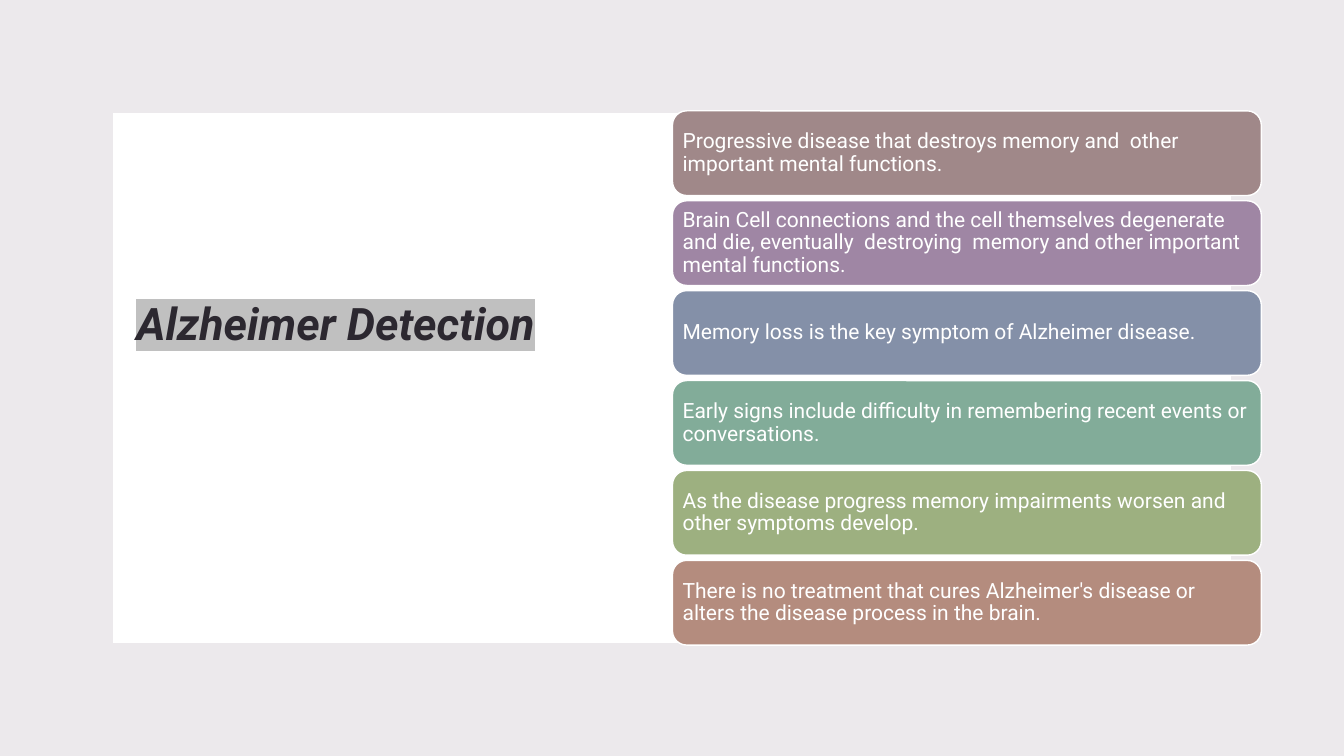
from dataclasses import dataclass

from lxml import etree
from pptx import Presentation
from pptx.dml.color import RGBColor
from pptx.enum import shapes, text
from pptx.oxml import ns
from pptx.util import Inches, Pt


@dataclass(frozen=True)
class Theme:
    """Colours, font and type sizes of the slide."""
    font: str = "Roboto"
    title_size: int = 32
    card_size: int = 15
    frame: str = "E0DCE1"
    frame_alpha: int = 61
    ink: str = "2C2830"
    highlight: str = "C0C0C0"
    white: str = "FFFFFF"


THEME = Theme()
WIDTH, HEIGHT = 13.33, 7.5
PANEL = (1.12, 1.12, 11.09, 5.26)
TITLE = (1.12, 1.12, 4.42, 5.25)
CARDS = (6.67, 1.1, 5.84, 5.3)
CARD_HEIGHT = 0.84
FACTS = [
    ("A08889", "Progressive disease that destroys memory and  other important mental functions."),
    ("9F86A4", "Brain Cell connections and the cell themselves degenerate and die, "
               "eventually  destroying  memory and other important mental functions."),
    ("8490A8", "Memory loss is the key symptom of Alzheimer disease."),
    ("82AC99", "Early signs include difficulty in remembering recent events or conversations."),
    ("9DB080", "As the disease progress memory impairments worsen and other symptoms develop."),
    ("B48C7E", "There is no treatment that cures Alzheimer's disease or "
               "alters the disease process in the brain."),
]


def add_color(parent, tag, color):
    """Append a colour element of the given tag and return its srgbClr."""
    holder = etree.SubElement(parent, ns.qn(tag))
    return etree.SubElement(holder, ns.qn("a:srgbClr"), val=color)


def style(p, size, color, spacing):
    """Set the font and line spacing of a paragraph."""
    p.line_spacing = spacing
    p.font.name = THEME.font
    p.font.size = Pt(size)
    p.font.color.rgb = RGBColor.from_string(color)


def add_frame(s, box):
    """Draw a translucent frame around the given opening."""
    x, y, w, h = box
    opening = [(x, y), (x, y + h), (x + w, y + h), (x + w, y)]
    edge = [(0, 0), (WIDTH, 0), (WIDTH, HEIGHT), (0, HEIGHT)]
    opening, edge = ([(Inches(a), Inches(b)) for a, b in ring] for ring in (opening, edge))
    builder = s.shapes.build_freeform(*opening[0])
    builder.add_line_segments(opening[1:])
    builder.move_to(*edge[0])
    builder.add_line_segments(edge[1:])
    sp = builder.convert_to_shape()
    sp.shadow.inherit = False
    sp.line.fill.background()
    sp.fill.solid()
    sp.fill.fore_color.rgb = RGBColor.from_string(THEME.frame)
    clr = sp.fill._xPr.find(".//" + ns.qn("a:srgbClr"))
    etree.SubElement(clr, ns.qn("a:alpha"), val=str(THEME.frame_alpha * 1000))


def add_title(s, box, words):
    """Place the highlighted title a little above the middle of the box."""
    sp = s.shapes.add_textbox(*map(Inches, box))
    tf = sp.text_frame
    tf.word_wrap = True
    tf.vertical_anchor = text.MSO_ANCHOR.MIDDLE
    tf.margin_bottom = Inches(1.2)
    p = tf.paragraphs[0]
    p.alignment = text.PP_ALIGN.CENTER
    style(p, THEME.title_size, THEME.ink, 1.1)
    p.font.bold = p.font.italic = True
    r = p.add_run()
    r.text = words
    add_color(r._r.get_or_add_rPr(), "a:highlight", THEME.highlight)


def add_card(s, box, color, words):
    """Draw one rounded card with its sentence."""
    sp = s.shapes.add_shape(shapes.MSO_SHAPE.ROUNDED_RECTANGLE, *map(Inches, box))
    sp.shadow.inherit = False
    sp.fill.solid()
    sp.fill.fore_color.rgb = RGBColor.from_string(color)
    sp.line.color.rgb = RGBColor.from_string(THEME.white)
    sp.line.width = Pt(1)
    tf = sp.text_frame
    tf.word_wrap = True
    tf.vertical_anchor = text.MSO_ANCHOR.MIDDLE
    tf.margin_left = tf.margin_right = tf.margin_top = tf.margin_bottom = Inches(0.06)
    p = tf.paragraphs[0]
    p.text = words
    p.alignment = text.PP_ALIGN.LEFT
    style(p, THEME.card_size, THEME.white, 0.9)


def add_cards(s, box, facts):
    """Stack the cards evenly from top to bottom of the box."""
    x, y, w, h = box
    step = (h - CARD_HEIGHT) / (len(facts) - 1)
    for i, (color, words) in enumerate(facts):
        add_card(s, (x, y + i * step, w, CARD_HEIGHT), color, words)


def main():
    """Build and save the slide."""
    prs = Presentation()
    prs.slide_width, prs.slide_height = Inches(WIDTH), Inches(HEIGHT)
    s = prs.slides.add_slide(prs.slide_layouts[6])
    add_frame(s, PANEL)
    add_title(s, TITLE, "Alzheimer Detection")
    add_cards(s, CARDS, FACTS)
    prs.save("out.pptx")


if __name__ == "__main__":
    main()
